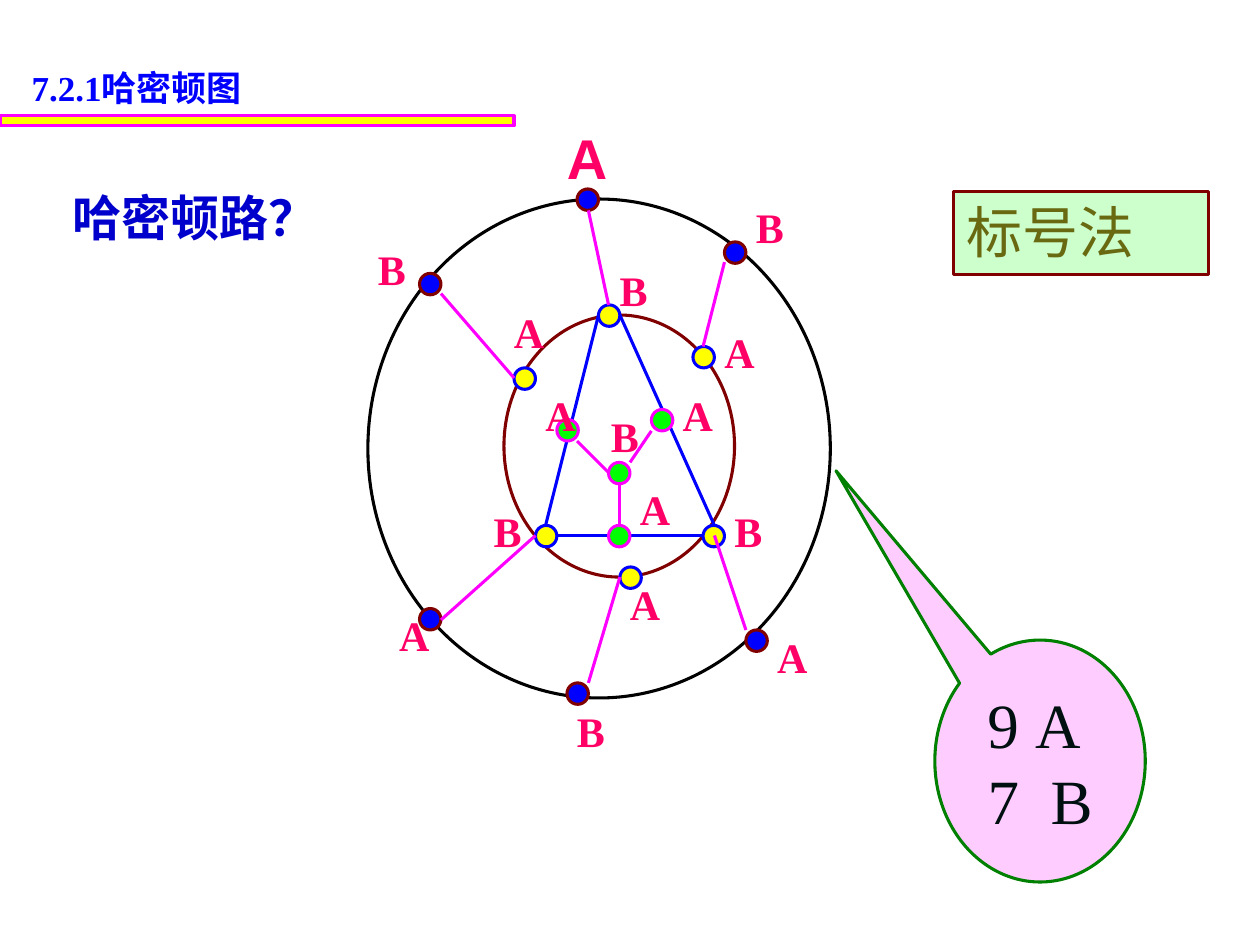
import pptx
import pptx.util
import pptx.dml.color
import pptx.enum.shapes
import pptx.enum.text
import pptx.oxml.ns
from lxml import etree

Inches = pptx.util.Inches
Pt = pptx.util.Pt
SHAPES = pptx.enum.shapes.MSO_SHAPE
ALIGN = pptx.enum.text.PP_ALIGN
ANCHOR = pptx.enum.text.MSO_ANCHOR

COLORS = {
    "yellow": "FFFF00", "magenta": "FF00FF", "black": "000000", "blue": "0000FF",
    "maroon": "800000", "lime": "00FF00", "question": "0000CC", "label": "FF0066",
    "pink": "FFCCFF", "green": "008000", "ink": "001010", "mint": "CCFFCC",
    "olive": "696911",
}
SERIF = "Times New Roman"
SANS = "Arial"
LINE_WIDTH = 1.75
VERTEX_SIZE = 0.17
LABEL_WIDTHS = {"A": 0.44, "B": 0.42}

# Each vertex: left, top, label, label left, label top
OUTER_VERTICES = [
    (4.58, 1.5, "A", 4.4, 0.93), (3.33, 2.17, "B", 2.9, 1.88),
    (5.75, 1.92, "B", 5.9, 1.55), (3.33, 4.83, "A", 3.07, 4.79),
    (4.5, 5.42, "B", 4.48, 5.55), (5.92, 5, "A", 6.07, 4.96),
]
MIDDLE_VERTICES = [
    (4.75, 2.42, "B", 4.82, 2.05), (4.08, 2.92, "A", 3.98, 2.38),
    (5.5, 2.75, "A", 5.65, 2.54), (4.25, 4.17, "B", 3.82, 3.96),
    (4.92, 4.5, "A", 4.9, 4.54), (5.58, 4.17, "B", 5.73, 3.96),
]
CENTRAL_VERTICES = [
    (4.83, 4.17, "A", 4.98, 3.79), (4.42, 3.33, "A", 4.23, 3.04),
    (5.17, 3.25, "A", 5.32, 3.04), (4.83, 3.67, "B", 4.75, 3.21),
]
TRIANGLE_EDGES = [
    (4.75, 2.5, 4.33, 4.17), (4.92, 2.5, 5.67, 4.17), (4.42, 4.25, 5.58, 4.25),
]
SPOKES = [
    (4.58, 3.5, 4.83, 3.75), (5, 3.67, 5.17, 3.42), (4.92, 3.83, 4.92, 4.17),
    (3.5, 2.33, 4.08, 3), (4.67, 1.67, 4.83, 2.42), (5.58, 2.75, 5.75, 2.08),
    (3.5, 4.92, 4.25, 4.25), (4.67, 5.42, 4.92, 4.58), (5.92, 5, 5.67, 4.25),
]


def rgb(name):
    return pptx.dml.color.RGBColor.from_string(COLORS[name])


def write_text(shape, text, size, color, font=SERIF, bold=False, align=ALIGN.LEFT,
               anchor=ANCHOR.TOP, wrap=True):
    frame = shape.text_frame
    frame.word_wrap = wrap
    frame.vertical_anchor = anchor
    frame.text = text
    for paragraph in frame.paragraphs:
        paragraph.alignment = align
        for run in paragraph.runs:
            run.font.name = font
            run.font.size = Pt(size)
            run.font.bold = bold
            run.font.color.rgb = rgb(color)


def add_text(slide, box, text, **text_format):
    shape = slide.shapes.add_textbox(*map(Inches, box))
    write_text(shape, text, **text_format)


def add_outline_shape(slide, kind, box, line, fill=None):
    shape = slide.shapes.add_shape(kind, *map(Inches, box))
    shape.shadow.inherit = False
    if fill:
        shape.fill.solid()
        shape.fill.fore_color.rgb = rgb(fill)
    else:
        shape.fill.background()
    shape.line.color.rgb = rgb(line)
    shape.line.width = Pt(LINE_WIDTH)
    return shape


def add_vertices(slide, vertices, fill, line):
    for left, top, *_ in vertices:
        add_outline_shape(slide, SHAPES.OVAL, (left, top, VERTEX_SIZE, VERTEX_SIZE),
                          line, fill)


def add_edges(slide, edges, color):
    for edge in edges:
        connector = slide.shapes.add_connector(
            pptx.enum.shapes.MSO_CONNECTOR.STRAIGHT, *map(Inches, edge))
        connector.line.color.rgb = rgb(color)
        connector.line.width = Pt(LINE_WIDTH)
        etree.SubElement(connector.element.spPr, pptx.oxml.ns.qn("a:effectLst"))


def add_labels(slide, vertices):
    for _, _, label, left, top in vertices:
        add_text(slide, (left, top, LABEL_WIDTHS[label], 0.5), label,
                 size=24, color="label", bold=True, wrap=False)


def add_title(slide):
    title = slide.shapes.title
    title.left, title.top, title.width, title.height = map(
        Inches, (0.15, 0.48, 2.68, 0.43))
    write_text(title, "7.2.1哈密顿图", size=20, color="blue", bold=True)
    title.text_frame.auto_size = pptx.enum.text.MSO_AUTO_SIZE.NONE


def add_graph(slide):
    add_outline_shape(slide, SHAPES.OVAL, (2.92, 1.58, 3.67, 3.96), "black")
    add_vertices(slide, OUTER_VERTICES, "blue", "maroon")
    add_outline_shape(slide, SHAPES.OVAL, (4, 2.5, 1.83, 2.08), "maroon")
    add_vertices(slide, MIDDLE_VERTICES, "yellow", "blue")
    add_edges(slide, TRIANGLE_EDGES, "blue")
    add_vertices(slide, CENTRAL_VERTICES, "lime", "magenta")
    add_edges(slide, SPOKES, "magenta")
    add_text(slide, (4.4, 0.93, 0.52, 0.63), "A", size=32, color="label",
             font=SANS, bold=True, wrap=False)
    add_labels(slide, OUTER_VERTICES[1:] + MIDDLE_VERTICES + CENTRAL_VERTICES)


def add_count_callout(slide):
    callout = add_outline_shape(slide, SHAPES.OVAL_CALLOUT, (7.42, 5.08, 1.67, 1.92),
                                "green", "pink")
    callout.adjustments[0] = -0.97
    callout.adjustments[1] = -1.2
    write_text(callout, "A \n7  B", size=36, color="ink", align=ALIGN.CENTER,
               anchor=ANCHOR.MIDDLE)
    for paragraph in callout.text_frame.paragraphs:
        properties = paragraph._p.get_or_add_pPr()
        properties.set("marL", str(Inches(0.38)))
        properties.set("indent", str(Inches(-0.38)))
    first_properties = callout.text_frame.paragraphs[0]._p.get_or_add_pPr()
    etree.SubElement(first_properties, pptx.oxml.ns.qn("a:buAutoNum"),
                     type="arabicPlain", startAt="9")


def main():
    presentation = pptx.Presentation()
    presentation.slide_width = Inches(10)
    presentation.slide_height = Inches(7.5)
    slide = presentation.slides.add_slide(presentation.slide_layouts[5])
    add_title(slide)
    add_outline_shape(slide, SHAPES.RECTANGLE, (0, 0.92, 4.08, 0.08),
                      "magenta", "yellow")
    add_graph(slide)
    add_text(slide, (0.48, 1.44, 2.93, 0.57), "哈密顿路？", size=28,
             color="question", font=SANS, bold=True)
    add_count_callout(slide)
    method = add_outline_shape(slide, SHAPES.RECTANGLE, (7.57, 1.52, 2.02, 0.66),
                               "maroon", "mint")
    write_text(method, "标号法", size=32, color="olive", font=SANS)
    presentation.save("out.pptx")


if __name__ == "__main__":
    main()
